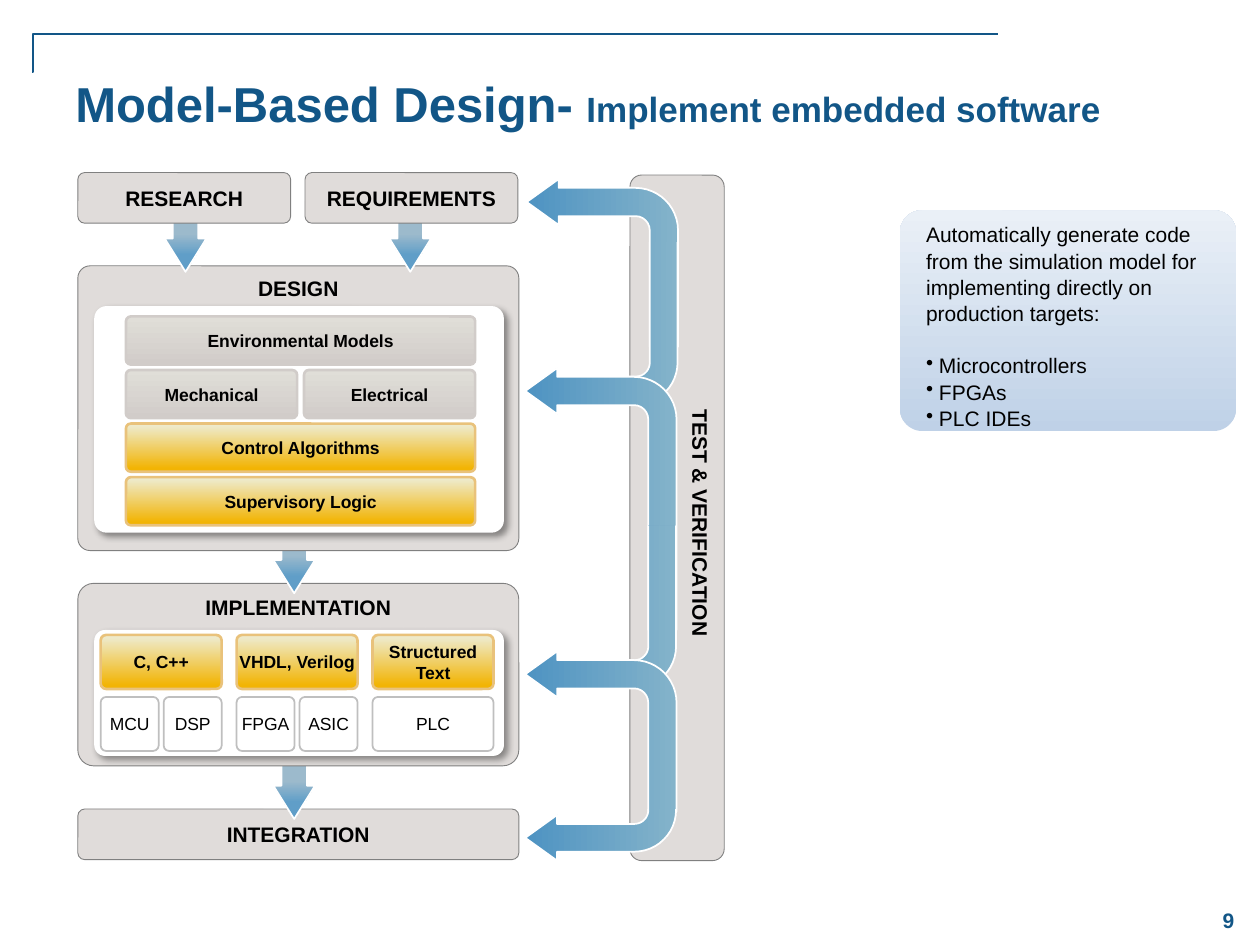
from math import cos, pi, sin

from lxml import etree
from pptx import Presentation
from pptx import util as u
from pptx.dml.color import RGBColor
from pptx.enum import shapes, text
from pptx.oxml import parse_xml
from pptx.oxml.ns import nsdecls, qn

NAVY = RGBColor(0x12, 0x56, 0x87)
BLACK = RGBColor(0, 0, 0)
WHITE = RGBColor(0xFF, 0xFF, 0xFF)
STONE = RGBColor(0xE0, 0xDC, 0xDA)
GREY = RGBColor(0x80, 0x80, 0x80)
SILVER = RGBColor(0xBF, 0xBF, 0xBF)
TAUPE = RGBColor(0xD1, 0xCC, 0xC9)
PALE_TAUPE = RGBColor(0xE0, 0xDE, 0xD8)
AMBER = RGBColor(0xF2, 0xB4, 0x04)
CREAM = RGBColor(0xEE, 0xEA, 0xCA)
TAN = RGBColor(0xE9, 0xC2, 0x7B)
STEEL = RGBColor(0x9C, 0xBA, 0xCC)
SKY = RGBColor(0x60, 0x9E, 0xC8)
BLUE = RGBColor(0x4E, 0x93, 0xC2)
TEAL = RGBColor(0x84, 0xB3, 0xCA)
ICE = RGBColor(0xBF, 0xD1, 0xE7)
FROST = RGBColor(0xEA, 0xF0, 0xF7)

# Fill is one colour, or (angle, first stop, last stop); line is (colour, points)
STAGE = {"fill": STONE, "line": (GREY, 0.5)}
FLOW = {"fill": (0, (0.6, STEEL), (0.82, SKY)), "line": (WHITE, 1)}
BEND = {"fill": (180, (0, BLUE), (1, TEAL)), "line": (WHITE, 1)}
HOOK = {"fill": (0, (0, BLUE), (1, TEAL)), "line": (WHITE, 1)}
PLANT = {"fill": (90, (0, TAUPE), (1, PALE_TAUPE)), "line": (TAUPE, 1.5)}
GOLD = {"fill": (90, (0.07, AMBER), (0.95, CREAM)), "line": (TAN, 1.5)}
TARGET = {"fill": WHITE, "line": (SILVER, 1)}
PANEL = {"fill": WHITE, "line": None}
CALLOUT = {"fill": (90, (0, ICE), (1, FROST)), "line": None}

HEADING = {"size": u.Pt(12), "bold": True}
TILE = {"size": u.Pt(10), "bold": True}
PLAIN_TILE = {"size": u.Pt(10), "bold": False}
BODY = {"size": u.Pt(12), "bold": False}

ROUND = shapes.MSO_SHAPE.ROUNDED_RECTANGLE
TOP, MIDDLE = text.MSO_ANCHOR.TOP, text.MSO_ANCHOR.MIDDLE
CENTER, LEFT = text.PP_ALIGN.CENTER, text.PP_ALIGN.LEFT


def paint(part, look, adjustments=()):
    """Give a shape its fill, line and adjustments, without a theme shadow."""
    part.shadow.inherit = False
    for index, value in enumerate(adjustments):
        part.adjustments[index] = value
    if isinstance(look["fill"], RGBColor):
        part.fill.solid()
        part.fill.fore_color.rgb = look["fill"]
    else:
        angle, *stops = look["fill"]
        part.fill.gradient()
        part.fill.gradient_angle = angle
        for stop, (position, color) in zip(part.fill.gradient_stops, stops):
            stop.position, stop.color.rgb = position, color
    if look["line"]:
        part.line.color.rgb = look["line"][0]
        part.line.width = u.Pt(look["line"][1])
    else:
        part.line.fill.background()
    return part


def write(part, runs, anchor=MIDDLE, align=CENTER, margin=None, wrap=True):
    """Fill the first paragraph with (wording, font format) runs."""
    frame = part.text_frame
    frame.word_wrap, frame.vertical_anchor = wrap, anchor
    if margin is not None:
        for side in ("left", "top", "right", "bottom"):
            setattr(frame, f"margin_{side}", u.Cm(margin))
    paragraph = frame.paragraphs[0]
    paragraph.alignment = align
    for wording, style in runs:
        run = paragraph.add_run()
        run.text = wording
        run.font.color.rgb = BLACK
        for name, value in {"name": "Arial", **style}.items():
            setattr(run.font, name, value)
        if "size" in style and style.get("bold") and style["size"] >= u.Pt(20):
            run.font.color.rgb = NAVY
    return paragraph


deck = Presentation()
deck.slide_width, deck.slide_height = u.Cm(25.4), u.Cm(19.05)
canvas = deck.slides.add_slide(deck.slide_layouts[6]).shapes

# Header rule, title and page number
rule = canvas.add_connector(shapes.MSO_CONNECTOR.ELBOW, u.Cm(20.12), u.Cm(0.69), u.Cm(0.64), u.Cm(1.45))
rule.line.color.rgb, rule.line.width = NAVY, u.Pt(1)
guides = rule._element.spPr.find(qn("a:prstGeom")).get_or_add_avLst()
etree.SubElement(guides, qn("a:gd"), name="adj1", fmla="val 99900")
etree.SubElement(rule._element.spPr, qn("a:effectLst"))

title = canvas.add_textbox(u.Cm(1.27), u.Cm(1.35), u.Cm(22.43), u.Cm(2.74))
write(title, [("Model-Based Design- ", {"size": u.Pt(28), "bold": True}),
              ("Implement embedded software", {"size": u.Pt(20), "bold": True})], TOP, LEFT)
number = canvas.add_textbox(u.Cm(24.13), u.Cm(18.01), u.Cm(1.27), u.Cm(1.07))
write(number, [("9", HEADING)]).runs[0].font.color.rgb = NAVY

# Stages from the bottom up; each one hides the tail of the arrow leaving it
for label, left, top, width, height, corner, anchor, arrow in [
    ("INTEGRATION", 1.57, 16.31, 8.89, 1.02, 0.135, MIDDLE, None),
    ("IMPLEMENTATION", 1.57, 11.76, 8.89, 3.68, 0.087, TOP, (4.98, 15.14)),
    ("DESIGN", 1.57, 5.36, 8.89, 5.74, 0.043, TOP, (4.98, 10.59)),
    ("RESEARCH", 1.57, 3.48, 4.29, 1.02, 0.135, MIDDLE, (2.79, 4.11)),
    ("REQUIREMENTS", 6.15, 3.48, 4.29, 1.02, 0.135, MIDDLE, (7.32, 4.11)),
]:
    if arrow:
        flow = canvas.add_shape(shapes.MSO_SHAPE.LEFT_RIGHT_ARROW,
                                u.Cm(arrow[0]), u.Cm(arrow[1]), u.Cm(1.9), u.Cm(0.84))
        paint(flow, FLOW, (0.614, 0.798)).rotation = 90
    stage = canvas.add_shape(ROUND, u.Cm(left), u.Cm(top), u.Cm(width), u.Cm(height))
    write(paint(stage, STAGE, [corner]), [(label, HEADING)], anchor)

# Test and verification column
column = canvas.add_shape(ROUND, u.Cm(12.7), u.Cm(3.53), u.Cm(1.9), u.Cm(13.82))
paint(column, STAGE, [0.124])
caption = canvas.add_textbox(u.Cm(11.56), u.Cm(10.16), u.Cm(5.13), u.Cm(0.76))
write(caption, [("TEST & VERIFICATION", HEADING)], TOP, wrap=False)
caption.rotation = 90

# Feedback loops: a bent arrow on top, and a hook ending in a head at axis
quarter = [step * pi / 24 for step in range(13)]
for left, top, height, joint, axis in [
    (10.62, 3.61, 3.38, 4.88, 7.87),
    (10.59, 7.42, 5.28, 10.59, 13.59),
    (10.59, 13.13, 3.23, 16.31, 16.89),
]:
    bend = canvas.add_shape(shapes.MSO_SHAPE.BENT_ARROW, u.Cm(left), u.Cm(top), u.Cm(3.05), u.Cm(height))
    paint(bend, BEND, (0.187, 0.152, 0.211, 0.281))
    bend._element.spPr.xfrm.set("flipH", "1")

    center_x, center_y = left + 2.2, axis - 0.56
    outer, inner = [[(center_x + radius * cos(a), center_y + radius * sin(a)) for a in quarter]
                    for radius in (0.84, 0.28)]
    head = [(left + 0.64, axis + 0.28), (left + 0.64, axis + 0.46), (left, axis),
            (left + 0.64, axis - 0.46), (left + 0.64, axis - 0.28)]
    outline = [*outer, *head, *reversed(inner), (center_x + 0.28, joint)]
    builder = canvas.build_freeform(u.Cm(center_x + 0.84), u.Cm(joint))
    builder.add_line_segments([(u.Cm(x), u.Cm(y)) for x, y in outline], close=False)
    paint(builder.convert_to_shape(), HOOK)

# White panels inside the design and implementation stages
for top, height, corner in [(6.17, 4.57, 0.055), (12.7, 2.54, 0.086)]:
    panel = canvas.add_shape(ROUND, u.Cm(1.9), u.Cm(top), u.Cm(8.26), u.Cm(height))
    paint(panel, PANEL, [corner])
    panel._element.spPr.find(qn("a:effectLst")).append(parse_xml(
        f'<a:outerShdw {nsdecls("a")} blurRad="50800" dist="38100" dir="2700000" algn="tl" rotWithShape="0">'
        '<a:srgbClr val="000000"><a:alpha val="40000"/></a:srgbClr></a:outerShdw>'))

# Tiles as (label, left, top, width, height, look)
rows = [6.38 + 1.08 * row for row in range(4)]
tiles = [
    ("Environmental Models", 2.54, rows[0], 7.04, 0.97, PLANT),
    ("Mechanical", 2.54, rows[1], 3.45, 0.97, PLANT),
    ("Electrical", 6.13, rows[1], 3.45, 0.97, PLANT),
    ("Control Algorithms", 2.54, rows[2], 7.04, 0.97, GOLD),
    ("Supervisory Logic", 2.54, rows[3], 7.04, 0.97, GOLD),
]
languages = [("C, C++", ["MCU", "DSP"]), ("VHDL, Verilog", ["FPGA", "ASIC"]), ("Structured Text", ["PLC"])]
for index, (language, targets) in enumerate(languages):
    left = 2.03 + 2.74 * index
    tiles.append((language, left, 12.8, 2.44, 1.09, GOLD))
    target_width = 2.44 if len(targets) == 1 else 1.17
    for place, target in enumerate(targets):
        tiles.append((target, left + 1.27 * place, 14.05, target_width, 1.09, TARGET))
for label, left, top, width, height, look in tiles:
    tile = canvas.add_shape(ROUND, u.Cm(left), u.Cm(top), u.Cm(width), u.Cm(height))
    style = PLAIN_TILE if look is TARGET else TILE
    write(paint(tile, look, [0.102]), [(label, style)], margin=0)

# Callout
callout = canvas.add_shape(ROUND, u.Cm(18.14), u.Cm(4.24), u.Cm(6.78), u.Cm(4.45))
paint(callout, CALLOUT, [0.102])
message = canvas.add_textbox(u.Cm(18.42), u.Cm(4.32), u.Cm(6.35), u.Cm(4.37))
intro = write(message, [("Automatically generate code from the simulation model for "
                         "implementing directly on production targets:", BODY)], TOP, LEFT)
intro.line_spacing = 1.05
for index, product in enumerate(["Microcontrollers", "FPGAs", "PLC IDEs"]):
    item = message.text_frame.add_paragraph()
    properties = item._p.get_or_add_pPr()
    properties.set("marL", str(u.Cm(0.26)))
    properties.set("indent", str(-u.Cm(0.26)))
    etree.SubElement(properties, qn("a:buChar"), char="•")
    item.text, item.line_spacing = product, 1.05
    item.space_before = u.Pt(0 if index else 14.4)
    for name, value in {"name": "Arial", **BODY}.items():
        setattr(item.font, name, value)
    item.font.color.rgb = BLACK

deck.save("out.pptx")
